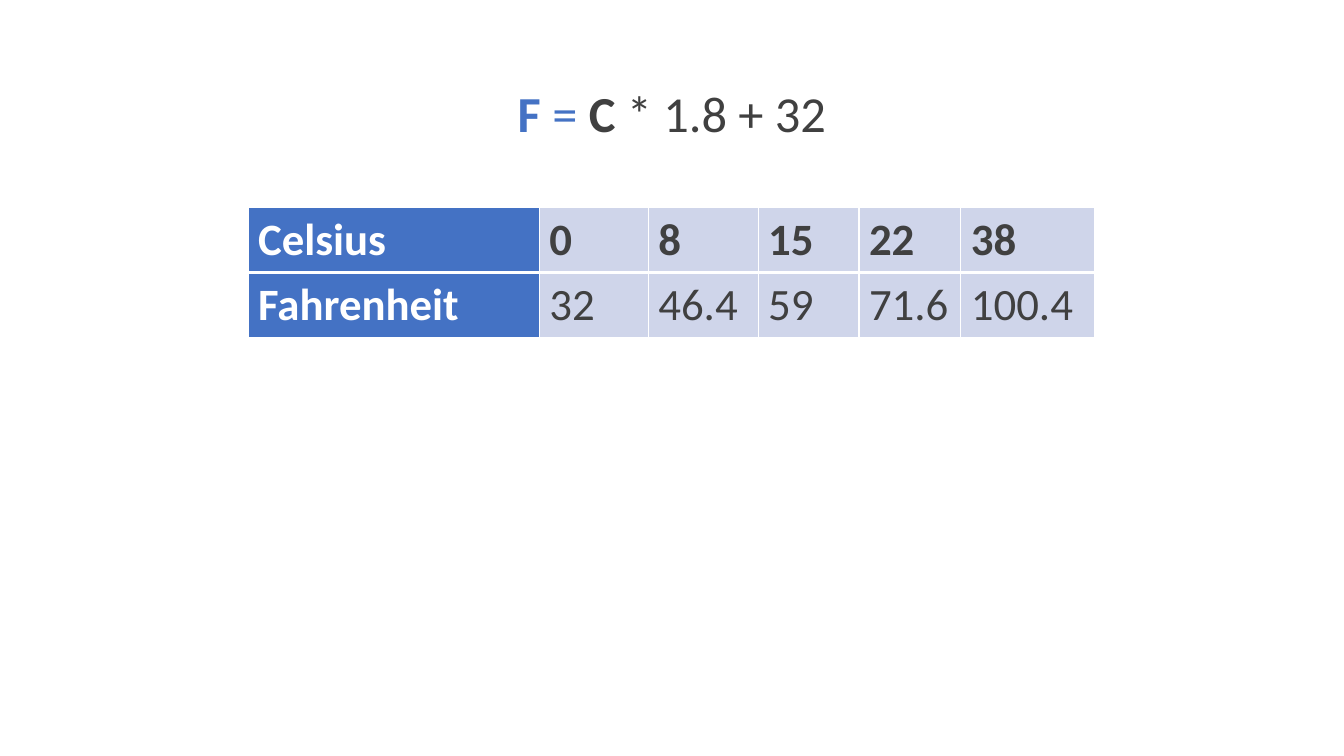
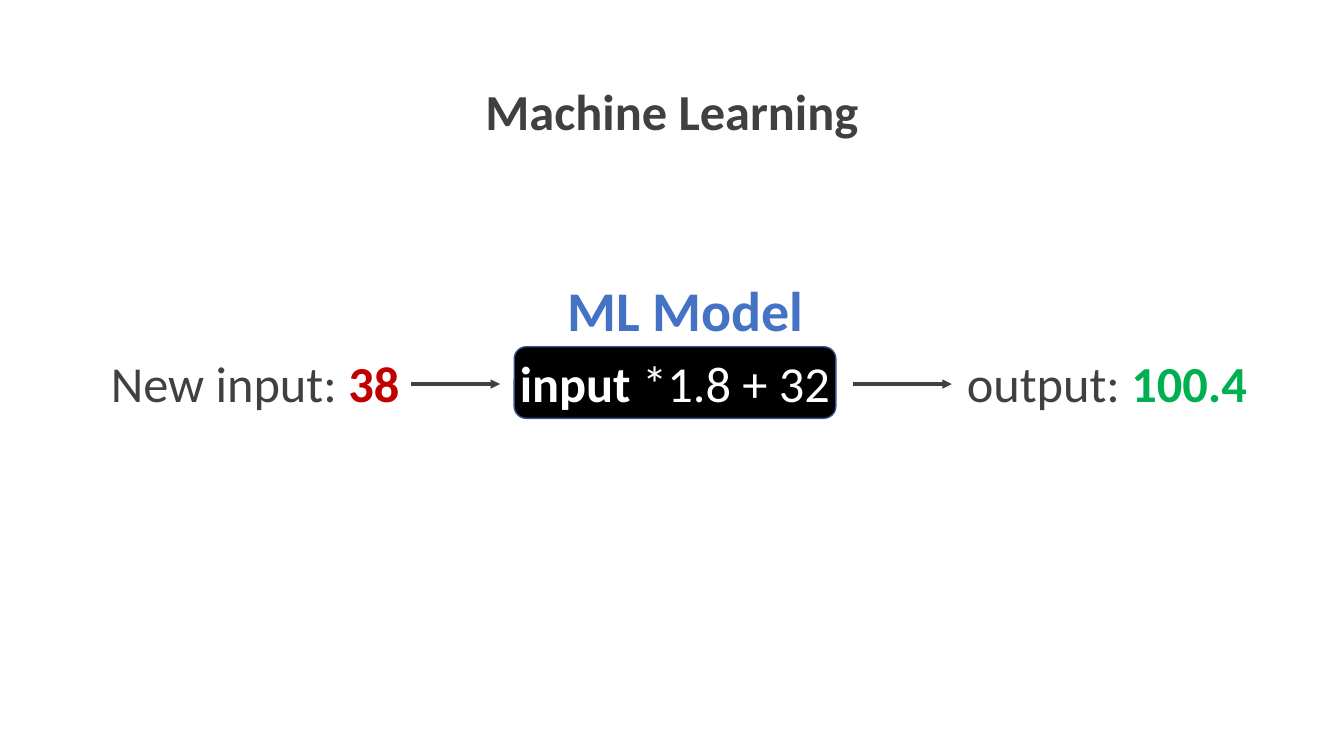
from lxml.etree import SubElement
from pptx import Presentation
from pptx.dml.color import RGBColor
from pptx.enum.shapes import MSO_CONNECTOR, MSO_SHAPE
from pptx.enum.text import MSO_ANCHOR, MSO_AUTO_SIZE, PP_ALIGN
from pptx.oxml import parse_xml
from pptx.oxml.ns import nsdecls, qn
from pptx.util import Pt

PX = 9144
FONT = "Calibri"
BLUE = RGBColor(0x44, 0x72, 0xC4)
DARK_BLUE = RGBColor(0x32, 0x54, 0x91)
PALE_BLUE = RGBColor(0xCF, 0xD5, 0xEA)
GRAY = RGBColor(0x40, 0x40, 0x40)
RED = RGBColor(0xC0, 0x00, 0x00)
GREEN = RGBColor(0x00, 0xB0, 0x50)
BLACK = RGBColor(0x00, 0x00, 0x00)
WHITE = RGBColor(0xFF, 0xFF, 0xFF)


def add_spans(frame, size, spans):
    para = frame.paragraphs[0]
    for text, color, bold in spans:
        span = para.add_run()
        span.text = text
        span.font.name = FONT
        span.font.size = Pt(size)
        span.font.color.rgb = color
        span.font.bold = bold
    return para


def add_titled_page(deck, top, spans):
    page = deck.slides.add_slide(deck.slide_layouts[5])
    title = page.shapes.title
    title.left, title.top = 298 * PX, top * PX
    title.width, title.height = 737 * PX, 71 * PX
    title.text_frame.auto_size = MSO_AUTO_SIZE.NONE
    title.text_frame.vertical_anchor = MSO_ANCHOR.TOP
    para = add_spans(title.text_frame, 36, spans)
    para.alignment = PP_ALIGN.CENTER
    return page


deck = Presentation()
deck.slide_width, deck.slide_height = 1333 * PX, 750 * PX

formula_page = add_titled_page(deck, 76, [
    ("F", BLUE, True), (" = ", BLUE, False),
    ("C", GRAY, True), (" * 1.8 + 32", GRAY, False),
])

temperatures = [
    ["Celsius", "0", "8", "15", "22", "38"],
    ["Fahrenheit", "32", "46.4", "59", "71.6", "100.4"],
]
column_widths = [289, 108, 109, 100, 101, 133]
row_height = 64
table = formula_page.shapes.add_table(
    len(temperatures), len(column_widths), 246 * PX, 206 * PX,
    sum(column_widths) * PX, len(temperatures) * row_height * PX,
).table
table.first_row = table.horz_banding = False
for column, width in zip(table.columns, column_widths):
    column.width = width * PX

for row_index, values in enumerate(temperatures):
    table.rows[row_index].height = row_height * PX
    for column_index, value in enumerate(values):
        is_label = column_index == 0
        cell = table.cell(row_index, column_index)
        cell.fill.solid()
        cell.fill.fore_color.rgb = BLUE if is_label else PALE_BLUE
        add_spans(cell.text_frame, 32, [
            (value, WHITE if is_label else GRAY, is_label or row_index == 0),
        ])
        borders = [("L", 1), ("R", 1), ("T", 3 if row_index == 1 else 1), ("B", 3 if row_index == 0 else 1)]
        for position, (side, weight) in enumerate(borders):
            border = parse_xml(
                f'<a:ln{side} {nsdecls("a")} w="{Pt(weight)}"><a:solidFill>'
                f'<a:srgbClr val="{WHITE}"/></a:solidFill></a:ln{side}>'
            )
            cell._tc.get_or_add_tcPr().insert(position, border)

model_page = add_titled_page(deck, 74, [("Machine Learning", GRAY, True)])

model = model_page.shapes.add_shape(
    MSO_SHAPE.ROUNDED_RECTANGLE, 510 * PX, 344 * PX, 319 * PX, 71 * PX
)
model.shadow.inherit = False
model.fill.solid()
model.fill.fore_color.rgb = BLACK
model.line.color.rgb = DARK_BLUE
model.line.width = Pt(1)
model.text_frame.word_wrap = False
add_spans(model.text_frame, 36, [
    ("input", WHITE, True), (" *1.8 + 32", WHITE, False),
]).alignment = PP_ALIGN.CENTER

labels = [
    (553, 268, 257, 77, 40, [("ML Model", BLUE, True)]),
    (100, 344, 309, 71, 36, [("New input: ", GRAY, False), ("38", RED, True)]),
    (949, 344, 301, 71, 36, [("output: ", GRAY, False), ("100.4", GREEN, True)]),
]
for left, top, width, height, size, spans in labels:
    box = model_page.shapes.add_textbox(left * PX, top * PX, width * PX, height * PX)
    box.text_frame.word_wrap = False
    add_spans(box.text_frame, size, spans)

for start, end in [(408, 496), (846, 944)]:
    arrow = model_page.shapes.add_connector(
        MSO_CONNECTOR.STRAIGHT, start * PX, 381 * PX, end * PX, 381 * PX
    )
    arrow.line.color.rgb = GRAY
    arrow.line.width = Pt(2.25)
    SubElement(arrow.line._get_or_add_ln(), qn("a:tailEnd"), type="triangle")
    SubElement(arrow._element.spPr, qn("a:effectLst"))

deck.save("out.pptx")
